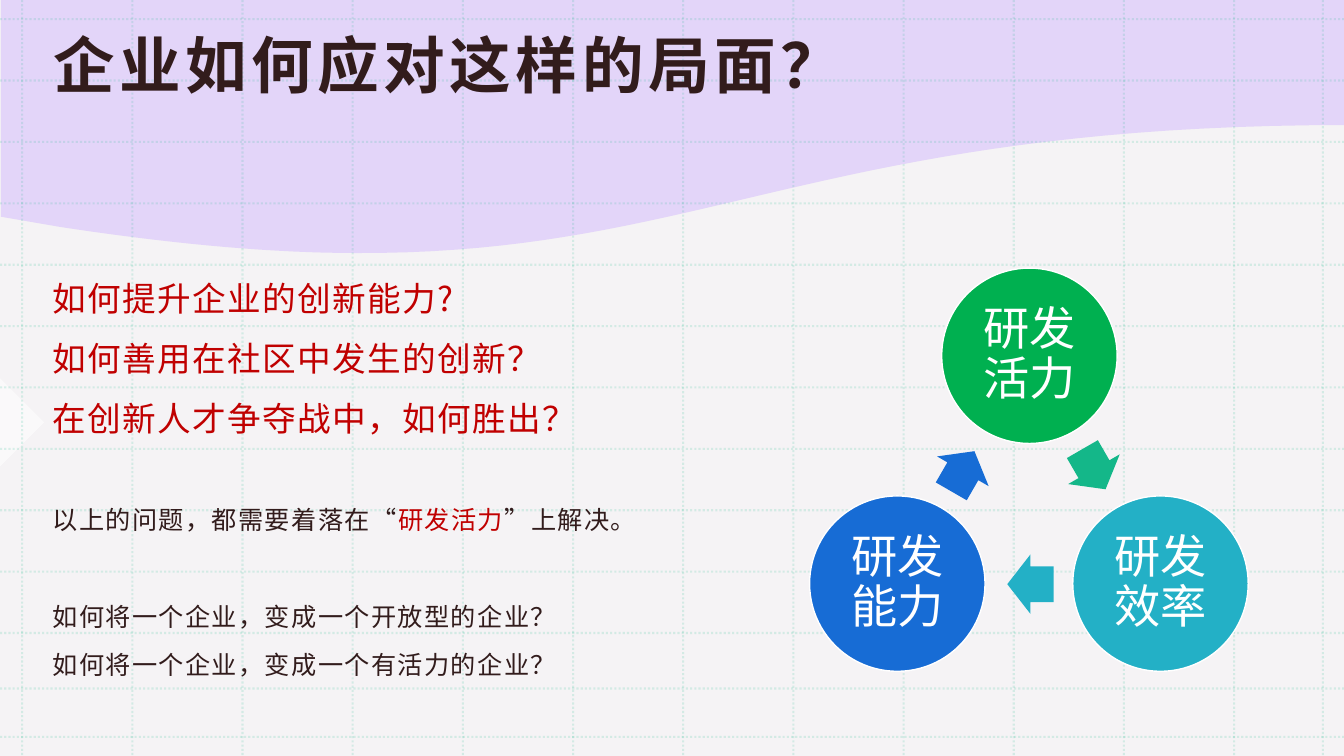
from dataclasses import dataclass

from lxml import etree
from pptx import Presentation
from pptx.dml.color import RGBColor
from pptx.enum.dml import MSO_LINE
from pptx.enum.lang import MSO_LANGUAGE_ID
from pptx.enum.shapes import MSO_CONNECTOR, MSO_SHAPE
from pptx.enum.text import MSO_ANCHOR, MSO_AUTO_SIZE, PP_ALIGN
from pptx.oxml.ns import qn
from pptx.util import Inches, Pt

FONT = "Noto Sans CJK SC"
WIDTH, HEIGHT = 13.33, 7.5
INK, RED, WHITE, GREEN = "321C1C", "C00000", "FFFFFF", "14B789"
OVAL, ARROW, CORNER = MSO_SHAPE.OVAL, MSO_SHAPE.RIGHT_ARROW, MSO_SHAPE.RIGHT_TRIANGLE
STRAIGHT, DOTTED = MSO_CONNECTOR.STRAIGHT, MSO_LINE.ROUND_DOT
TOP, MIDDLE = MSO_ANCHOR.TOP, MSO_ANCHOR.MIDDLE
LEFT, CENTER = PP_ALIGN.LEFT, PP_ALIGN.CENTER
NO_FIT, CHINESE = MSO_AUTO_SIZE.NONE, MSO_LANGUAGE_ID.SIMPLIFIED_CHINESE
DIAMETER, ARROW_W, ARROW_H = 1.74, 0.46, 0.59
BODY_INSETS = (0.12, 0.12, 0.12, 0.1)


@dataclass
class Stage:
    text: str
    left: float
    top: float
    color: str
    arrow_left: float
    arrow_top: float
    arrow_color: str
    angle: float


@dataclass
class Line:
    runs: list[tuple[str, str]]
    size: float
    before: float = 10


STAGES = [
    Stage("研发活力", 9.34, 2.66, "00B050", 10.62, 4.36, GREEN, 60),
    Stage("研发效率", 10.64, 4.92, "23B0C6", 9.99, 5.5, "23B0C6", 180),
    Stage("研发能力", 8.03, 4.92, "176CD5", 9.32, 4.38, "176CD5", 300),
]
LINES = [
    Line([("如何提升企业的创新能力?", RED)], 24),
    Line([("如何善用在社区中发生的创新？", RED)], 24),
    Line([("在创新人才争夺战中，如何胜出？", RED)], 24),
    Line([("以上的问题，都需要着落在“", INK), ("研发活力", RED), ("”上解决。", INK)], 18, 44.5),
    Line([("如何将一个企业，变成一个开放型的企业？", INK)], 18, 44.5),
    Line([("如何将一个企业，变成一个有活力的企业？", INK)], 18),
]


def rgb(color: str) -> RGBColor:
    """Turn a hex string into a colour."""
    return RGBColor.from_string(color)


def set_alpha(sp, percent: int) -> None:
    """Make the coloured parts of a shape partly opaque."""
    for clr in sp.element.spPr.iter(qn("a:srgbClr")):
        etree.SubElement(clr, qn("a:alpha")).set("val", str(percent * 1000))


def paint(sp, color: str, alpha: int = 100) -> None:
    """Give a shape a plain fill without line or shadow."""
    sp.shadow.inherit = False
    sp.fill.solid()
    sp.fill.fore_color.rgb = rgb(color)
    sp.line.fill.background()
    if alpha < 100:
        set_alpha(sp, alpha)


def add_preset(s, kind, left: float, top: float, width: float, height: float,
               color: str, angle: float = 0, alpha: int = 100):
    """Add a filled preset shape."""
    sp = s.shapes.add_shape(kind, Inches(left), Inches(top), Inches(width), Inches(height))
    sp.rotation = angle
    paint(sp, color, alpha)
    return sp


def add_run(p, text: str, size: float, color: str, bold: bool = False, spacing: float = 0) -> None:
    """Add a formatted run to a paragraph."""
    r = p.add_run()
    r.text = text
    r.font.size, r.font.bold, r.font.name = Pt(size), bold, FONT
    r.font.color.rgb = rgb(color)
    r.font.language_id = CHINESE
    rPr = r._r.get_or_add_rPr()
    rPr.set("spc", str(round(spacing * 100)))
    etree.SubElement(rPr, qn("a:ea")).set("typeface", FONT)


def set_frame(tf, insets: tuple[float, ...], anchor) -> None:
    """Set the insets, anchor and wrapping of a text frame."""
    tf.auto_size, tf.word_wrap, tf.vertical_anchor = NO_FIT, True, anchor
    tf.margin_left, tf.margin_top, tf.margin_right, tf.margin_bottom = map(Inches, insets)


def place(sp, left: float, top: float, width: float, height: float) -> None:
    """Move a placeholder and bring it to the front."""
    sp.left, sp.top, sp.width, sp.height = map(Inches, (left, top, width, height))
    sp.element.getparent().append(sp.element)


def bezier(a, b, c, d, steps: int = 40) -> list[tuple[float, float]]:
    """List points along a cubic curve, without its start."""
    points = []
    for i in range(1, steps + 1):
        t = i / steps
        weights = ((1 - t) ** 3, 3 * t * (1 - t) ** 2, 3 * t * t * (1 - t), t ** 3)
        points.append(tuple(sum(w * q[k] for w, q in zip(weights, (a, b, c, d))) for k in (0, 1)))
    return points


def add_wave(s) -> None:
    """Draw the lilac wave along the top."""
    right, trough, left = (13.37, 1.24), (3.55, 2.51), (0.59, 2.25)
    points = bezier(right, (8.14, 1.24), (6.99, 2.52), trough)
    points += bezier(trough, (2.73, 2.51), (1.77, 2.43), left)
    points += [(0.01, 2.15), (0.01, -0.01), (13.37, -0.01)]
    fb = s.shapes.build_freeform(Inches(right[0]), Inches(right[1]), 1.0)
    fb.add_line_segments([(Inches(x), Inches(y)) for x, y in points])
    paint(fb.convert_to_shape(), "DFCEFA", 80)


def add_grid_line(s, x1: float, y1: float, x2: float, y2: float) -> None:
    """Draw one faint dotted line."""
    c = s.shapes.add_connector(STRAIGHT, Inches(x1), Inches(y1), Inches(x2), Inches(y2))
    c.line.color.rgb = rgb(GREEN)
    c.line.width, c.line.dash_style = Pt(1.5), DOTTED
    set_alpha(c, 15)
    etree.SubElement(c.element.spPr, qn("a:effectLst"))


def add_grid(s) -> None:
    """Draw the dotted grid over the whole slide."""
    for x in [0.22 + 12.02 / 11 * i for i in range(12)] + [13.12]:
        add_grid_line(s, x, 0, x, HEIGHT)
    for y in [0.19 + 0.609 * i for i in range(11)] + [6.83, 7.31]:
        add_grid_line(s, 0, y, WIDTH, y)


def add_stage(s, stage: Stage) -> None:
    """Draw one circle of the cycle and the arrow that leaves it."""
    sp = add_preset(s, OVAL, stage.left, stage.top, DIAMETER, DIAMETER, stage.color)
    sp.line.color.rgb = rgb(WHITE)
    sp.line.width = Pt(1)
    set_frame(sp.text_frame, (0.05,) * 4, MIDDLE)
    p = sp.text_frame.paragraphs[0]
    p.alignment, p.line_spacing = CENTER, 0.9
    add_run(p, stage.text, 33, WHITE)
    arrow = add_preset(s, ARROW, stage.arrow_left, stage.arrow_top, ARROW_W, ARROW_H,
                       stage.arrow_color, stage.angle)
    arrow.adjustments[0], arrow.adjustments[1] = 0.6, 0.5


def fill_title(sp) -> None:
    """Write the title."""
    place(sp, 0.41, 0.15, 8.83, 3)
    set_frame(sp.text_frame, BODY_INSETS, TOP)
    p = sp.text_frame.paragraphs[0]
    p.alignment = LEFT
    add_run(p, "企业如何应对这样的局面？", 44, INK, bold=True, spacing=3.2)


def fill_body(sp) -> None:
    """Write the list of questions without bullets."""
    place(sp, 0.4, 2.58, 6.59, 4.34)
    tf = sp.text_frame
    set_frame(tf, BODY_INSETS, TOP)
    for i, line in enumerate(LINES):
        p = tf.add_paragraph() if i else tf.paragraphs[0]
        p.alignment, p.line_spacing = LEFT, 1.14
        p.space_before, p.space_after = Pt(line.before), Pt(0)
        pPr = p._p.get_or_add_pPr()
        pPr.set("marL", "0")
        pPr.set("indent", "0")
        etree.SubElement(pPr, qn("a:buNone"))
        for text, color in line.runs:
            add_run(p, text, line.size, color, spacing=1)


def main() -> None:
    """Build the slide and save it."""
    prs = Presentation()
    prs.slide_width, prs.slide_height = Inches(WIDTH), Inches(HEIGHT)
    s = prs.slides.add_slide(prs.slide_layouts[1])
    s.background.fill.solid()
    s.background.fill.fore_color.rgb = rgb("F5F3F5")
    add_wave(s)
    add_preset(s, CORNER, -0.31, 3.88, 0.62, 0.62, WHITE, angle=225, alpha=50)
    add_grid(s)
    fill_title(s.shapes.title)
    fill_body(s.placeholders[1])
    for stage in STAGES:
        add_stage(s, stage)
    prs.save("out.pptx")


if __name__ == "__main__":
    main()
